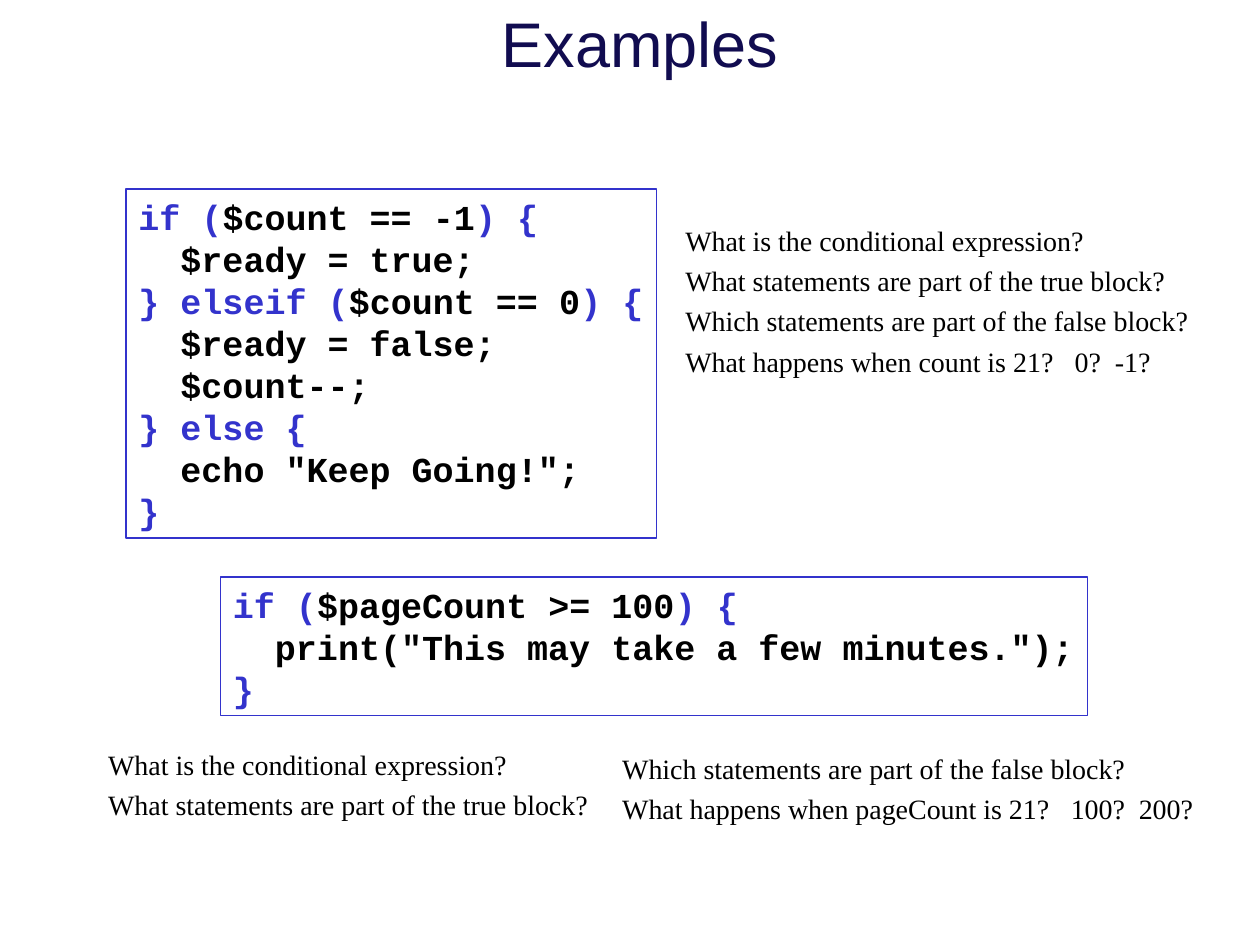
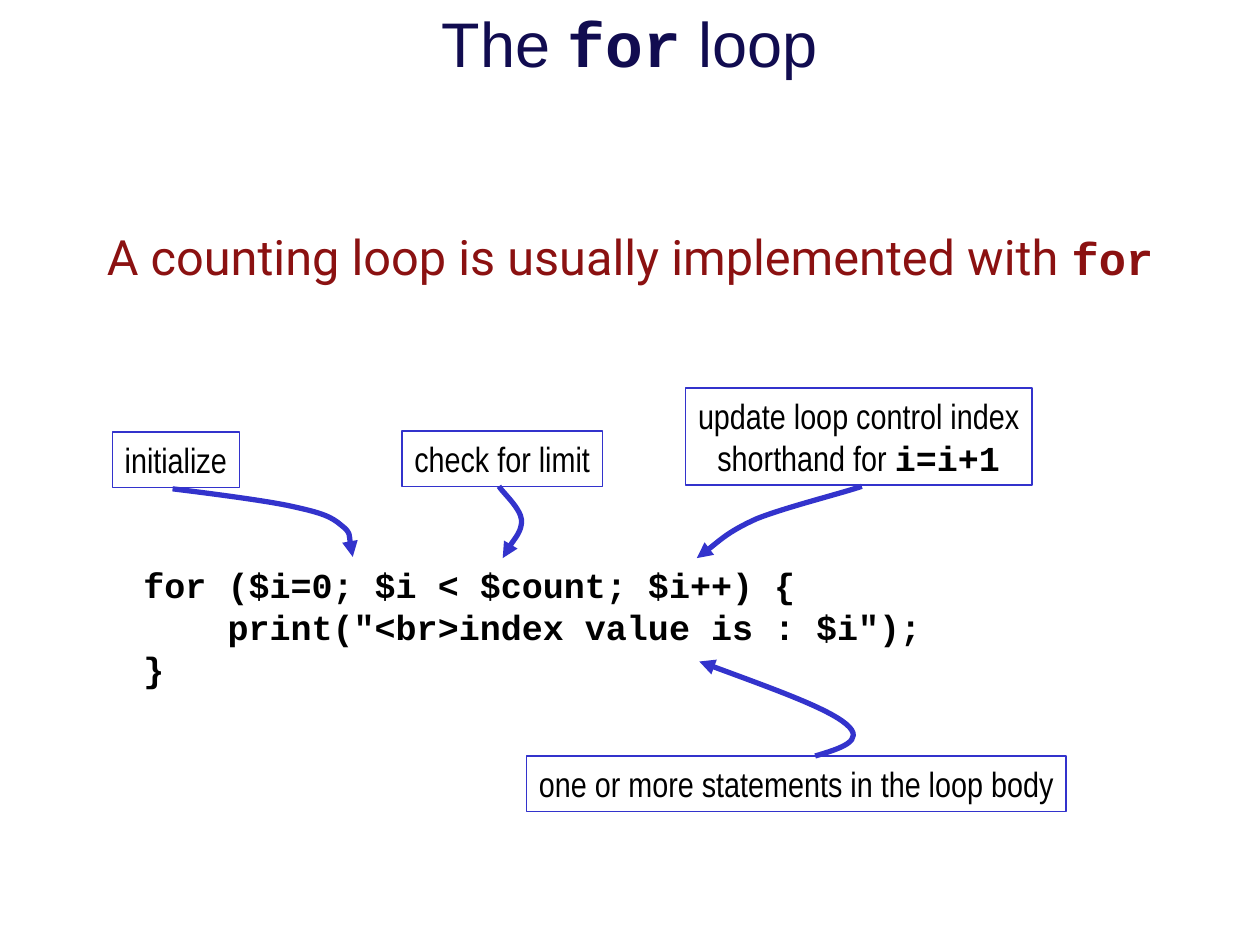
from dataclasses import dataclass

from lxml import etree
from pptx import Presentation
from pptx import util as u
from pptx.dml.color import RGBColor
from pptx.enum import shapes, text
from pptx.oxml import ns


# Theme
@dataclass(frozen=True)
class Style:
    size: float
    face: str
    color: str
    bold: bool = False


class Theme:
    blue, navy, red, black = "3333CC", "110C50", "8B1111", "000000"
    mono = "Courier New"
    thin, thick = 0.75, 3
    title = Style(36, "Arial", navy)
    body = Style(27.8, "Roboto", red)
    code = Style(20, mono, black, True)
    note = Style(16, "Times New Roman", black)
    label = Style(20, "Arial Narrow", black)
    # Styles of the pieces set between bars
    accent = {
        title: Style(36, mono, navy, True),
        body: Style(25.9, mono, red, True),
        code: Style(20, mono, blue, True),
        label: Style(20, mono, black, True),
    }


# Content: pieces between bars take the accent style
ASK = [
    "What is the conditional expression?",
    "What statements are part of the true block?",
    "Which statements are part of the false block?",
]

EXAMPLES = {
    "title": ("Examples", 0.58),
    "codes": [
        ((1, 1.5, 4.21, 2.77), [
            "|if (|$count == -1|) {|",
            "  $ready = true;",
            "|} elseif (|$count == 0|) {|",
            "  $ready = false;",
            "  $count--;",
            "|} else {|",
            '  echo "Keep Going!";',
            "|}|",
        ]),
        ((1.75, 4.58, 6.88, 1.1), [
            "|if (|$pageCount >= 100|) {|",
            '  print("This may take a few minutes.");',
            "|}|",
        ]),
    ],
    # Place, lines, tab stops
    "notes": [
        ((5.34, 1.67, 4.19, 1.38),
         ASK + ["What happens when count is 21?\t0?\t-1?"], (3.09, 3.41)),
        ((4.84, 5.86, 4.73, 0.74),
         ASK[2:] + ["What happens when pageCount is 21?\t100?\t200?"],
         (3.56, 4.1)),
        ((0.76, 5.83, 4.01, 0.74), ASK[:2], ()),
    ],
}

LOOP = {
    "title": ("The |for| loop", 0.5),
    "body": ((0.75, 1.75, 9.17, 0.92),
             ["A counting loop is usually implemented with |for|"]),
    "code": ((1.04, 4.42, 6.38, 1.1), [
        "for ($i=0; $i < $count; $i++) {",
        '    print("<br>index value is : $i");',
        "}",
    ]),
    "labels": [
        ((0.89, 3.43, 1.01, 0.44), ["initialize"]),
        ((3.19, 3.42, 1.59, 0.44), ["check for limit"]),
        ((5.44, 3.08, 2.75, 0.77),
         ["update loop control index", "shorthand for |i=i+1|"]),
        ((4.18, 6, 4.28, 0.44), ["one or more statements in the loop body"]),
    ],
    # Start point, then three Bezier points for each bend
    "arrows": [
        [(1.37, 3.88), (1.53, 3.9), (2.1, 3.97), (2.32, 4.02),
         (2.55, 4.07), (2.63, 4.1), (2.71, 4.17),
         (2.79, 4.23), (2.78, 4.36), (2.8, 4.42)],
        [(3.96, 3.86), (3.99, 3.91), (4.13, 4.03), (4.14, 4.13),
         (4.14, 4.22), (4.02, 4.36), (3.99, 4.43)],
        [(6.84, 3.86), (6.7, 3.91), (6.22, 4.03), (6, 4.12),
         (5.78, 4.22), (5.63, 4.36), (5.53, 4.43)],
        [(6.47, 6), (6.67, 5.94), (6.87, 5.88), (6.72, 5.75),
         (6.57, 5.62), (6.06, 5.44), (5.55, 5.25)],
    ],
}


# Text
def set_font(font, style):
    font.size, font.name, font.bold = u.Pt(style.size), style.face, style.bold
    font.color.rgb = RGBColor.from_string(style.color)


def add_tabs(para, stops):
    tabs = etree.SubElement(para._p.get_or_add_pPr(), ns.qn("a:tabLst"))
    for stop in stops:
        etree.SubElement(tabs, ns.qn("a:tab"), pos=str(u.Inches(stop)), algn="l")


def write(frame, lines, style, align, gap=None, stops=()):
    for i, line in enumerate(lines):
        para = frame.add_paragraph() if i else frame.paragraphs[0]
        para.alignment, para.line_spacing = align, gap
        if "\t" in line:
            add_tabs(para, stops)
        pieces = [(n % 2, part) for n, part in enumerate(line.split("|")) if part]
        whole = len(pieces) == 1 and pieces[0][0]
        set_font(para.font, Theme.accent[style] if whole else style)
        for marked, part in pieces:
            run = para.add_run()
            run.text = part
            if marked and not whole:
                set_font(run.font, Theme.accent[style])


def add_text(slide, place, lines, style, align=text.PP_ALIGN.LEFT,
             frame=False, wrap=False, anchor=text.MSO_ANCHOR.TOP, **extra):
    spot = [u.Inches(n) for n in place]
    if frame:
        box = slide.shapes.add_shape(shapes.MSO_SHAPE.RECTANGLE, *spot)
        outline(box, Theme.thin)
    else:
        box = slide.shapes.add_textbox(*spot)
    body = box.text_frame
    body.word_wrap, body.vertical_anchor = wrap, anchor
    if not wrap:
        # Slim side margins leave slack in boxes cut close to their text
        body.margin_right = u.Inches(0.02)
        if align == text.PP_ALIGN.CENTER:
            body.margin_left = body.margin_right
    write(body, lines, style, align, **extra)


def add_title(slide, title):
    words, left = title
    add_text(slide, (left, 0, 9, 0.67), [words], Theme.title,
             text.PP_ALIGN.CENTER, wrap=True, anchor=text.MSO_ANCHOR.MIDDLE)


# Lines
def outline(shape, width):
    shape.shadow.inherit = False
    shape.fill.background()
    shape.line.color.rgb = RGBColor.from_string(Theme.blue)
    shape.line.width = u.Pt(width)


def add_arrow(slide, points):
    start, *rest = [(u.Inches(x), u.Inches(y)) for x, y in points]
    pen = slide.shapes.build_freeform(*start)
    pen.add_line_segments(rest, close=False)
    arrow = pen.convert_to_shape()
    outline(arrow, Theme.thick)
    # Join each three straight steps into one curve
    steps = list(arrow._element.iter(ns.qn("a:lnTo")))
    for i in range(0, len(steps), 3):
        curve = etree.Element(ns.qn("a:cubicBezTo"))
        steps[i].addprevious(curve)
        for step in steps[i:i + 3]:
            curve.append(step[0])
            step.getparent().remove(step)
    etree.SubElement(arrow.line._get_or_add_ln(), ns.qn("a:tailEnd"),
                     type="triangle")


# Slides
def draw_examples(slide):
    add_title(slide, EXAMPLES["title"])
    for place, lines in EXAMPLES["codes"]:
        add_text(slide, place, lines, Theme.code, frame=True)
    for place, lines, stops in EXAMPLES["notes"]:
        add_text(slide, place, lines, Theme.note, gap=1.2, stops=stops)


def draw_loop(slide):
    add_title(slide, LOOP["title"])
    add_text(slide, *LOOP["body"], Theme.body, wrap=True)
    add_text(slide, *LOOP["code"], Theme.code)
    for place, lines in LOOP["labels"]:
        add_text(slide, place, lines, Theme.label, text.PP_ALIGN.CENTER,
                 frame=True)
    for points in LOOP["arrows"]:
        add_arrow(slide, points)


def main():
    deck = Presentation()
    deck.slide_width, deck.slide_height = u.Inches(10), u.Inches(7.5)
    for draw in (draw_examples, draw_loop):
        draw(deck.slides.add_slide(deck.slide_layouts[6]))
    deck.save("out.pptx")


if __name__ == "__main__":
    main()
